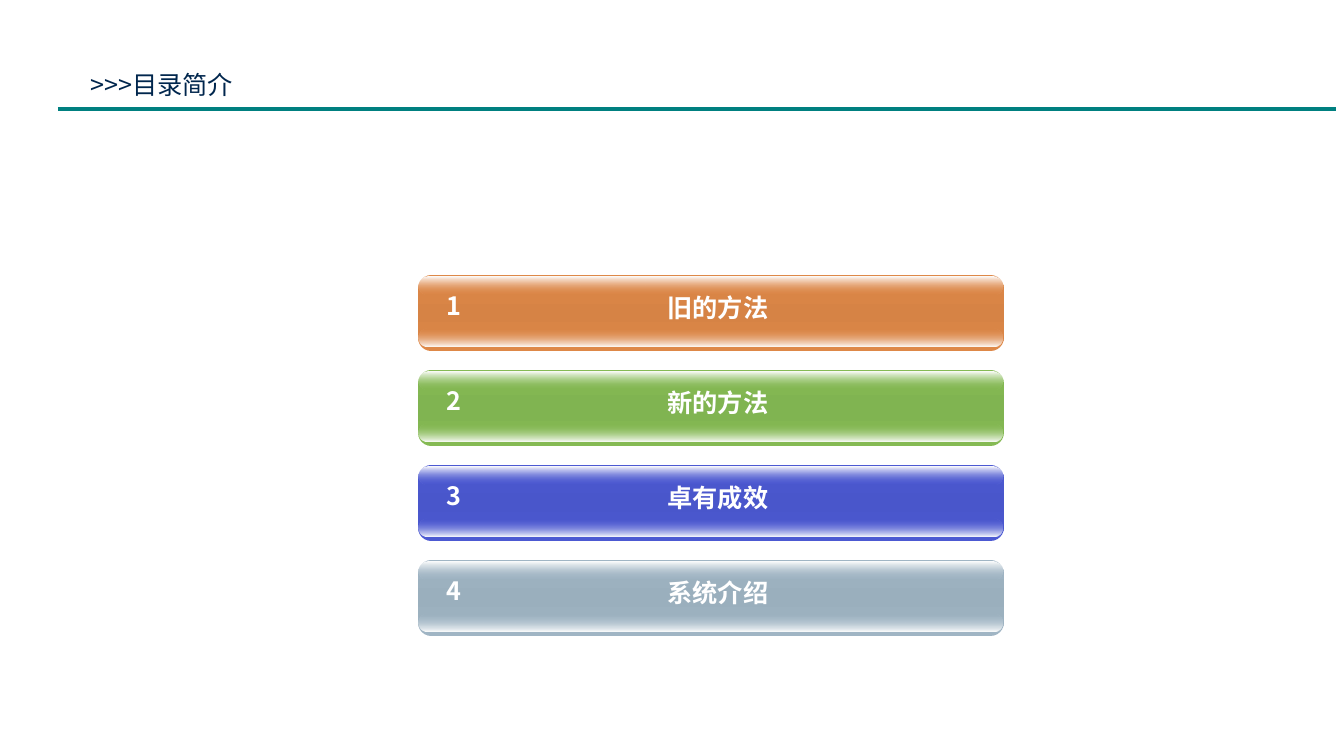
"""Build the contents slide: a ruled title above four glossy numbered bars."""
from lxml.etree import SubElement
from pptx import Presentation
from pptx.dml.color import RGBColor
from pptx.enum.shapes import MSO_CONNECTOR, MSO_SHAPE
from pptx.enum.text import MSO_ANCHOR, PP_ALIGN
from pptx.oxml.ns import qn
from pptx.util import Emu, Pt

FONT = "Noto Sans CJK SC"
WHITE = "FFFFFF"
rgb = RGBColor.from_string


def px(*sizes):
    return [Emu(round(size * 914400 / 100.8)) for size in sizes]


def glaze(group, area, bend, stops):
    shape = group.shapes.add_shape(MSO_SHAPE.ROUNDED_RECTANGLE, *px(*area))
    shape.adjustments[0] = bend
    shape.shadow.inherit = False
    shape.line.fill.background()
    shape.fill.gradient()
    shape.fill.gradient_angle = 270
    ramp = shape._element.spPr.find(qn("a:gradFill")).find(qn("a:gsLst"))
    ramp.clear()
    for place, tone, alpha in stops:
        stop = SubElement(ramp, qn("a:gs"), pos=str(place * 1000))
        color = SubElement(stop, qn("a:srgbClr"), val=tone)
        SubElement(color, qn("a:alpha"), val=str(alpha * 1000))


deck = Presentation()
deck.slide_width, deck.slide_height = px(1344, 756)
slide = deck.slides.add_slide(deck.slide_layouts[5])

left, top, right = px(58, 109, 1336)
rule = slide.shapes.add_connector(MSO_CONNECTOR.STRAIGHT, left, top, right, top)
rule.line.color.rgb = rgb("008080")
rule.line.width = Pt(2.25)
SubElement(rule._element.spPr, qn("a:effectLst"))

title = slide.shapes.title
title.left, title.top, title.width, title.height = px(80, 66, 244, 36)
texts = [(title, ">>>目录简介", "00264D", PP_ALIGN.LEFT, MSO_ANCHOR.MIDDLE)]

bars = [
    ("旧的方法", "DE8848", "D68345"),
    ("新的方法", "85BA54", "80B451"),
    ("卓有成效", "4C59D2", "4956CB"),
    ("系统介绍", "A0B5C4", "9AAFBD"),
]
for row, (label, edge, core) in enumerate(bars):
    top = 275 + 95 * row
    group = slide.shapes.add_group_shape()
    glaze(group, (418, top, 586, 76), 0.175,
          [(0, edge, 100), (50, core, 100), (100, edge, 100)])
    glaze(group, (419, top + 54, 584, 18), 0.5,
          [(0, edge, 0), (100, WHITE, 100)])
    glaze(group, (419, top + 2, 584, 18), 0.5,
          [(0, WHITE, 100), (100, edge, 0)])
    for left, drop, width, words in ((470, 12, 496, label),
                                     (433, 10, 42, str(row + 1))):
        box = slide.shapes.add_textbox(*px(left, top + drop, width, 40))
        texts.append((box, words, WHITE, PP_ALIGN.CENTER, MSO_ANCHOR.TOP))

for box, words, tone, align, anchor in texts:
    frame = box.text_frame
    frame.text = words
    frame.word_wrap = True
    frame.vertical_anchor = anchor
    para = frame.paragraphs[0]
    para.alignment = align
    run = para.runs[0]
    run.font.size = Pt(18)
    run.font.bold = tone == WHITE
    run.font.color.rgb = rgb(tone)
    if words == "4":
        glow = SubElement(run.font._element, qn("a:effectLst"))
        shade = SubElement(glow, qn("a:outerShdw"), blurRad="38100",
                           dist="38100", dir="2700000")
        SubElement(shade, qn("a:srgbClr"), val="000000")
    run.font.name = FONT
    SubElement(run.font._element, qn("a:ea"), typeface=FONT)

deck.save("out.pptx")
